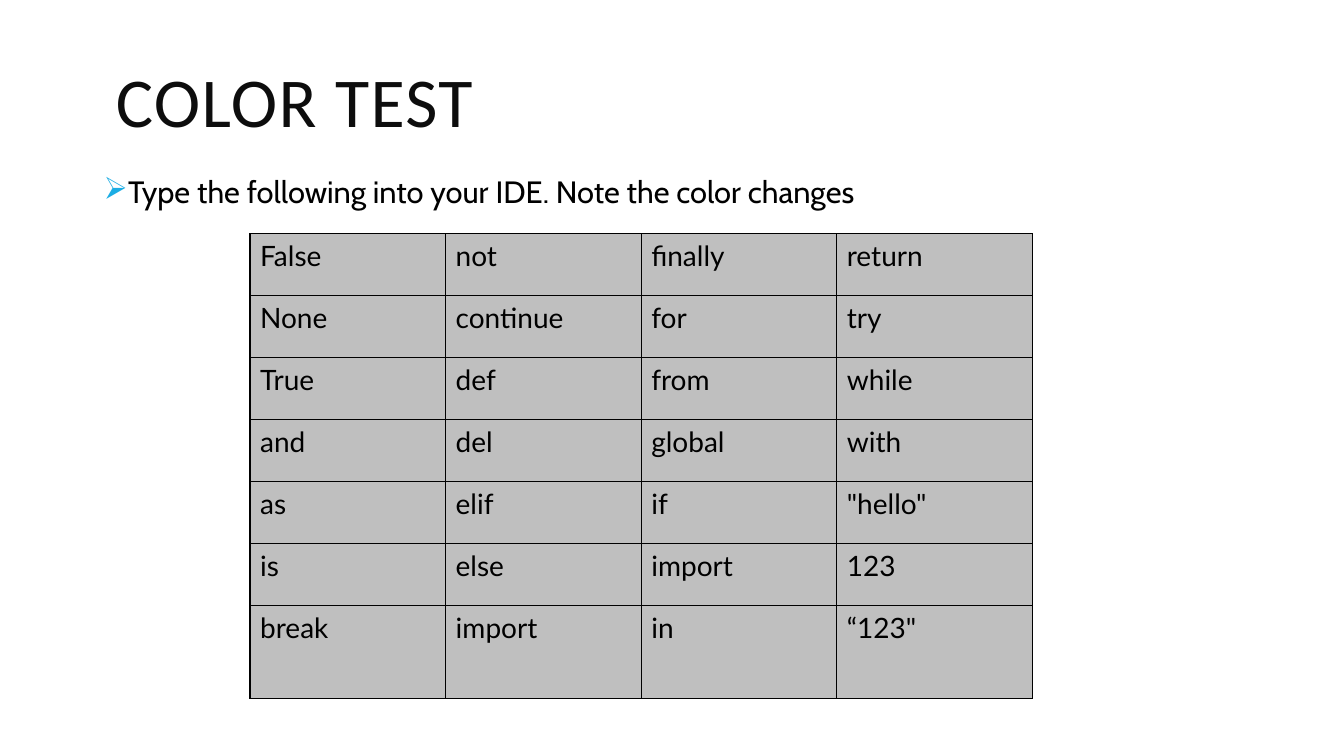
from lxml import etree
from pptx import Presentation, util as u
from pptx.dml.color import RGBColor
from pptx.oxml import parse_xml
from pptx.oxml.ns import nsdecls, qn

deck = Presentation()
deck.slide_width, deck.slide_height = u.Inches(13.33), u.Inches(7.5)
page = deck.slides.add_slide(deck.slide_layouts[6])


def color(code):
    return RGBColor.from_string(code)


def add_text(para, words, font, size, code):
    span = para.add_run()
    span.text = words
    span.font.name, span.font.size = font, u.Pt(size)
    span.font.color.rgb = color(code)
    return span


# Title
title = page.shapes.add_textbox(*map(u.Inches, (1.05, 0.68, 10.63, 1.64)))
title.text_frame.word_wrap = True
para = title.text_frame.paragraphs[0]
para.line_spacing = 0.8
span = add_text(para, "COLOR TEST", "Calibri", 50, "0D0D0D")
span.font._element.set("spc", "100")

# Instruction with arrow bullet
body = page.shapes.add_textbox(*map(u.Inches, (0.93, 1.71, 10.04, 5.1)))
body.text_frame.word_wrap = True
para = body.text_frame.paragraphs[0]
para.line_spacing = 0.9
para.space_before, para.space_after = u.Pt(12), u.Pt(2)
add_text(para, "Type the following into your IDE. Note the color changes",
         "Cabin", 22, "000000")
props = para._p.get_or_add_pPr()
props.set("marL", str(u.Inches(0.1)))
props.set("indent", str(u.Inches(-0.1)))
bullet_color = etree.SubElement(props, qn("a:buClr"))
etree.SubElement(bullet_color, qn("a:srgbClr"), val="1CADE4")
etree.SubElement(props, qn("a:buChar"), char="➢")

# Keyword table
keywords = [
    ["False", "not", "finally", "return"],
    ["None", "continue", "for", "try"],
    ["True", "def", "from", "while"],
    ["and", "del", "global", "with"],
    ["as", "elif", "if", '"hello"'],
    ["is", "else", "import", "123"],
    ["break", "import", "in", '“123"'],
]
column_width, row_height, last_height = 1.94, 0.615, 0.92
grid = page.shapes.add_table(
    len(keywords), len(keywords[0]), u.Inches(2.48), u.Inches(2.32),
    u.Inches(4 * column_width), u.Inches(6 * row_height + last_height)).table
for column in grid.columns:
    column.width = u.Inches(column_width)
for row in grid.rows:
    row.height = u.Inches(row_height)
grid.rows[len(keywords) - 1].height = u.Inches(last_height)

for r, words in enumerate(keywords):
    for c, word in enumerate(words):
        cell = grid.cell(r, c)
        add_text(cell.text_frame.paragraphs[0], word, "Lato", 20, "000000")
        cell.fill.solid()
        cell.fill.fore_color.rgb = color("BFBFBF")
        # Borders go ahead of the fill
        for i, side in enumerate(("lnL", "lnR", "lnT", "lnB")):
            cell._tc.get_or_add_tcPr().insert(i, parse_xml(
                f'<a:{side} {nsdecls("a")} w="{u.Pt(1)}"><a:solidFill>'
                f'<a:srgbClr val="000000"/></a:solidFill></a:{side}>'))

deck.save("out.pptx")
